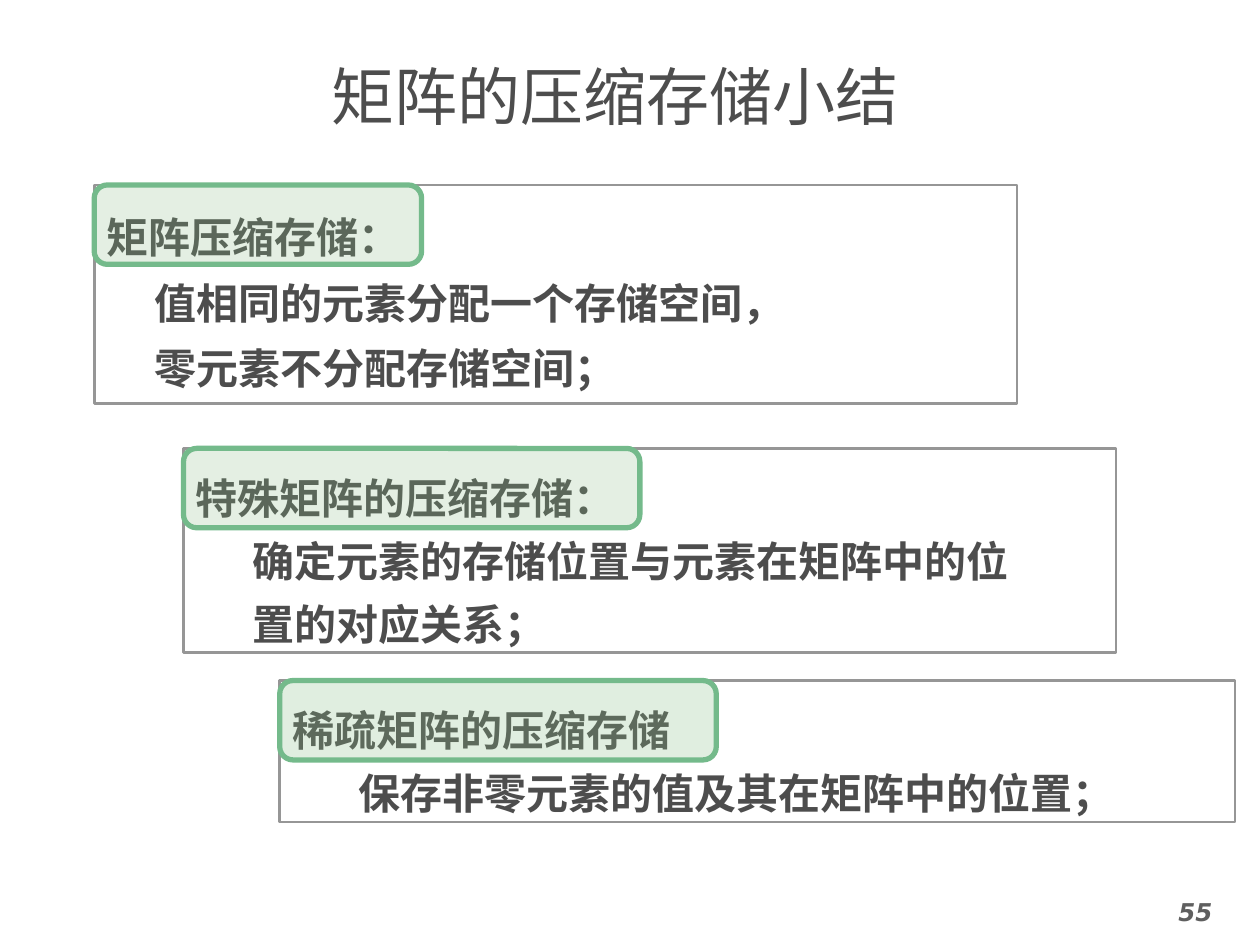
from lxml import etree
from pptx import Presentation
from pptx.dml.color import RGBColor
from pptx.enum.shapes import MSO_SHAPE
from pptx.enum.text import MSO_ANCHOR, PP_ALIGN
from pptx.oxml.ns import qn
from pptx.util import Cm, Pt

INK = RGBColor(0x4D, 0x4D, 0x4D)
PAGE_GRAY = RGBColor(0x5F, 0x5F, 0x5F)
FRAME_GRAY = RGBColor(0x96, 0x96, 0x96)
WHITE = RGBColor(0xFF, 0xFF, 0xFF)
LABEL_FILL = RGBColor(0x8B, 0xBE, 0x88)
LABEL_LINE = RGBColor(0x74, 0xBA, 0x8B)

TITLE = "矩阵的压缩存储小结"
PAGE_NUMBER = "55"
LABEL_HEIGHT = 1.6

# Lengths in cm, line pitch in points, opacity in percent
SECTIONS = [
    dict(heading="矩阵压缩存储：",
         body=["值相同的元素分配一个存储空间，", "零元素不分配存储空间；"],
         frame=(1.9, 3.73, 18.6, 4.4), label_width=6.6,
         indent=0.97, pitch=37.5, opacity=23),
    dict(heading="特殊矩阵的压缩存储：",
         body=["确定元素的存储位置与元素在矩阵中的位", "置的对应关系；"],
         frame=(3.7, 9.04, 18.8, 4.12), label_width=9.2,
         indent=1.15, pitch=36, opacity=23),
    dict(heading="稀疏矩阵的压缩存储",
         body=["保存非零元素的值及其在矩阵中的位置；"],
         frame=(5.64, 13.72, 19.26, 2.85), label_width=8.8,
         indent=1.34, pitch=36, opacity=26),
]


def write(para, text, size, font, color=INK, bold=False, italic=False,
          align=PP_ALIGN.LEFT, indent=0, pitch=None):
    """Put one formatted run into a paragraph."""
    para.alignment = align
    if indent:
        properties = para._p.get_or_add_pPr()
        properties.set("marL", str(Cm(indent)))
        properties.set("indent", "0")
    if pitch:
        para.line_spacing = Pt(pitch)
    span = para.add_run()
    span.text = text
    span.font.size = Pt(size)
    span.font.name = font
    span.font.bold = bold
    span.font.italic = italic
    span.font.color.rgb = color
    east_asian = etree.SubElement(span._r.get_or_add_rPr(), qn("a:ea"))
    east_asian.set("typeface", font)


def add_text(page, place, text, anchor=MSO_ANCHOR.TOP, **style):
    box = page.shapes.add_textbox(*map(Cm, place))
    box.text_frame.word_wrap = True
    box.text_frame.vertical_anchor = anchor
    write(box.text_frame.paragraphs[0], text, align=PP_ALIGN.CENTER, **style)


def add_box(page, kind, place, fill, line, width):
    box = page.shapes.add_shape(kind, *map(Cm, place))
    box.shadow.inherit = False
    box.fill.solid()
    box.fill.fore_color.rgb = fill
    box.line.color.rgb = line
    box.line.width = Pt(width)
    return box


def add_section(page, section):
    # Frame with heading and body lines
    frame = add_box(page, MSO_SHAPE.RECTANGLE, section["frame"],
                    WHITE, FRAME_GRAY, 1.5)
    text_frame = frame.text_frame
    text_frame.word_wrap = True
    text_frame.vertical_anchor = MSO_ANCHOR.TOP
    text_frame.margin_top = Cm(0.23)
    style = dict(size=24, font="Noto Sans CJK SC", bold=True,
                 pitch=section["pitch"])
    write(text_frame.paragraphs[0], section["heading"], **style)
    for line in section["body"]:
        write(text_frame.add_paragraph(), line,
              indent=section["indent"], **style)

    # Translucent label over the heading
    left, top = section["frame"][:2]
    label = add_box(page, MSO_SHAPE.ROUNDED_RECTANGLE,
                    (left, top, section["label_width"], LABEL_HEIGHT),
                    LABEL_FILL, LABEL_LINE, 3)
    color = label.fill._xPr.find(qn("a:solidFill"))[0]
    etree.SubElement(color, qn("a:alpha")).set(
        "val", str(section["opacity"] * 1000))


def main():
    deck = Presentation()
    deck.slide_width, deck.slide_height = Cm(25.4), Cm(19.05)
    page = deck.slides.add_slide(deck.slide_layouts[6])
    add_text(page, (3.3, 1.02, 18.2, 1.8), TITLE, anchor=MSO_ANCHOR.MIDDLE,
             size=36, font="DejaVu Sans Mono")
    for section in SECTIONS:
        add_section(page, section)
    add_text(page, (22.8, 17.96, 2.6, 1.09), PAGE_NUMBER, size=14,
             font="DejaVu Sans", color=PAGE_GRAY, bold=True, italic=True)
    deck.save("out.pptx")


if __name__ == "__main__":
    main()
